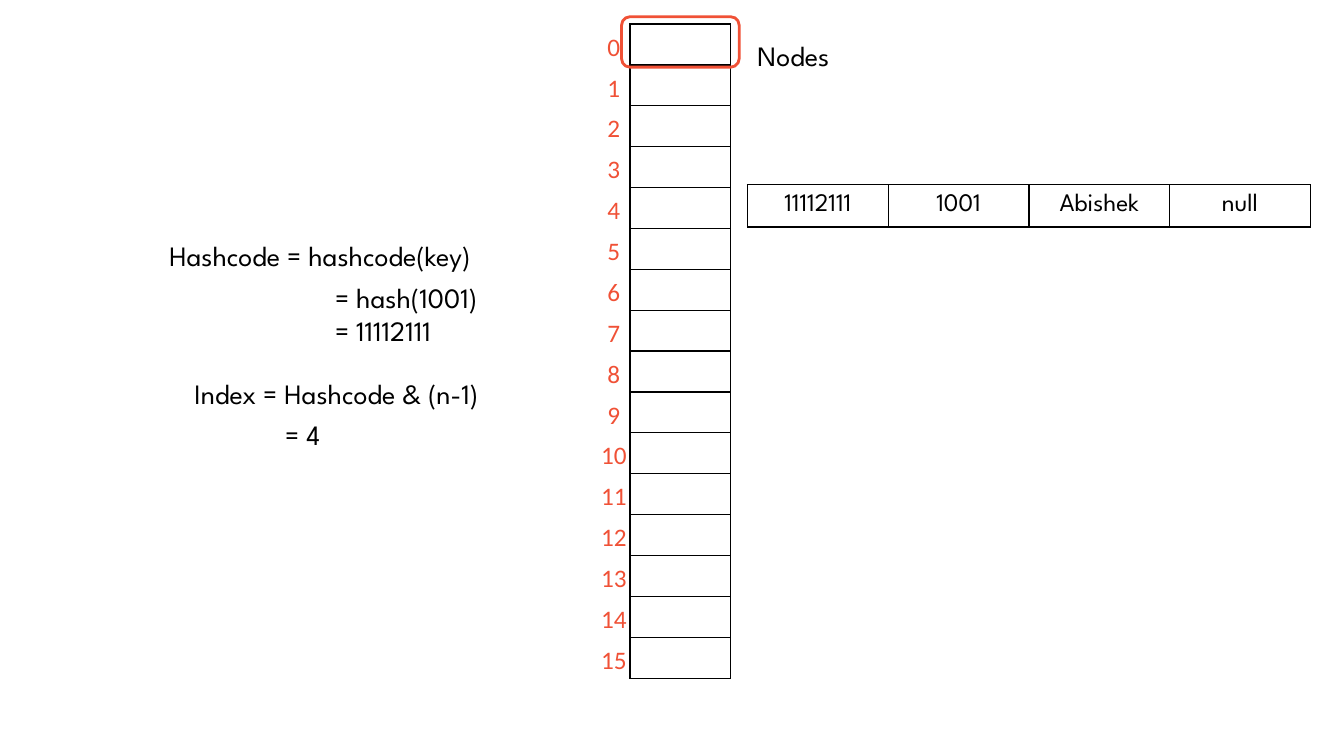
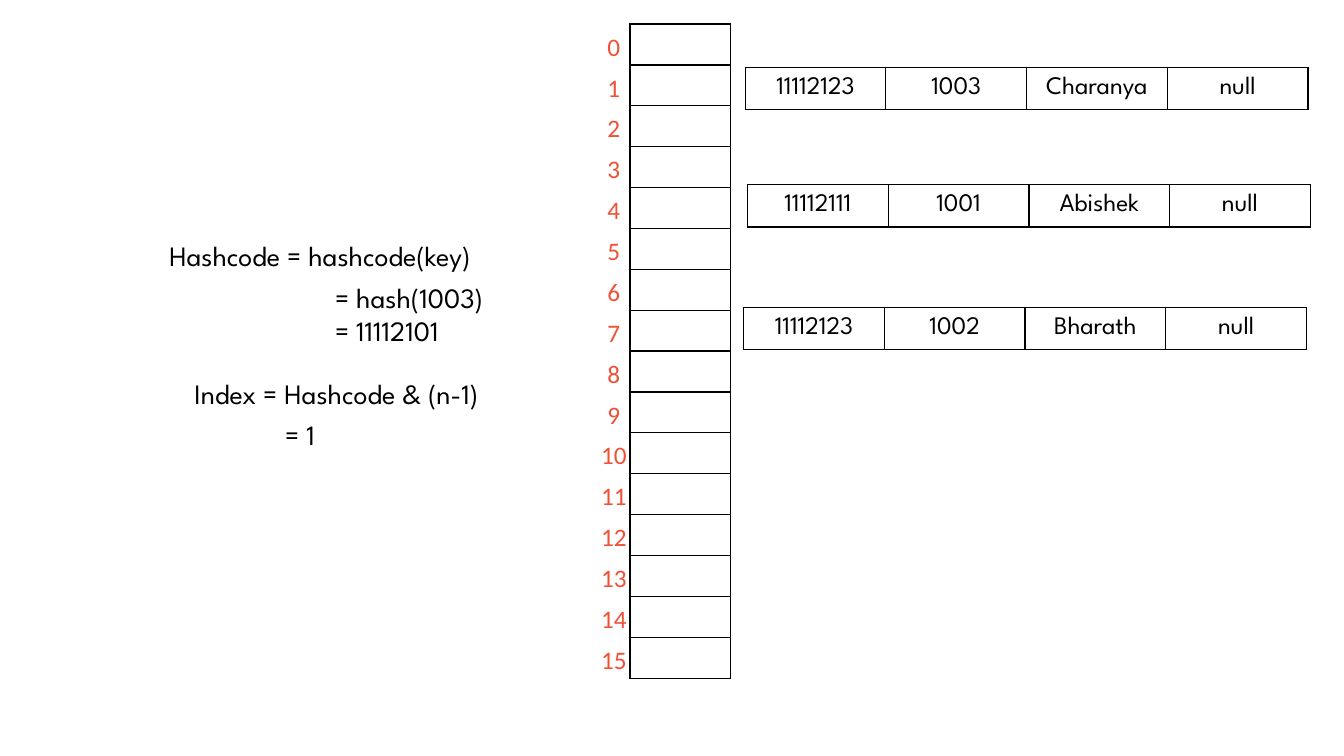
from lxml import etree
from pptx import Presentation
from pptx.dml.color import RGBColor
from pptx.enum import shapes, text
from pptx.oxml import ns
from pptx.util import Pt

# Shared look
INK, ACCENT = "000000", "F05136"
BODY = {"name": "League Spartan", "size": Pt(20), "color": INK}
NODE = {**BODY, "size": Pt(18)}
INDEX = {"name": "Calibri", "size": Pt(18), "color": ACCENT}

# Shared measures in points
BUCKETS, BUCKET_HEIGHT = 16, 29.2
NODE_WIDTH, NODE_HEIGHT = 100.5, 30.2

# Nodes: left, top and the values hash, key, value, next
ABISHEK = (534, 132, ["11112111", "1001", "Abishek", "null"])
BHARATH = (531.2, 219.6, ["11112123", "1002", "Bharath", "null"])
CHARANYA = (532.3, 48.2, ["11112123", "1003", "Charanya", "null"])


def colour(code):
    return RGBColor.from_string(code)


def write(para, words, style):
    span = para.add_run()
    span.text = words
    for name, value in style.items():
        if name == "color":
            span.font.color.rgb = colour(value)
        else:
            setattr(span.font, name, value)


def set_borders(cell, line):
    """Give the four sides of a cell a line colour, or none at all."""
    properties = cell._tc.get_or_add_tcPr()
    for place, side in enumerate(("lnL", "lnR", "lnT", "lnB")):
        border = etree.Element(ns.qn(f"a:{side}"), w=str(Pt(1)))
        if line:
            fill = etree.SubElement(border, ns.qn("a:solidFill"))
            etree.SubElement(fill, ns.qn("a:srgbClr"), val=line)
        else:
            etree.SubElement(border, ns.qn("a:noFill"))
        properties.insert(place, border)


def add_grid(page, left, top, rows, width, height, style=NODE, line=INK):
    """Draw a table of equal, unfilled cells from rows of text."""
    columns = len(rows[0])
    table = page.shapes.add_table(
        len(rows), columns, Pt(left), Pt(top),
        Pt(width * columns), Pt(height * len(rows))).table
    table.first_row = table.horz_banding = False
    for column in table.columns:
        column.width = Pt(width)
    for row, values in zip(table.rows, rows):
        row.height = Pt(height)
        for cell, words in zip(row.cells, values):
            cell.fill.background()
            set_borders(cell, line)
            cell.vertical_anchor = text.MSO_ANCHOR.MIDDLE
            if words:
                para = cell.text_frame.paragraphs[0]
                para.alignment = text.PP_ALIGN.CENTER
                write(para, words, style)


def add_text(page, left, top, width, lines, indent=0):
    height = 7.2 + 24 * len(lines)
    box = page.shapes.add_textbox(Pt(left), Pt(top), Pt(width), Pt(height))
    frame = box.text_frame
    frame.word_wrap = True
    frame.auto_size = text.MSO_AUTO_SIZE.SHAPE_TO_FIT_TEXT
    for number, words in enumerate(lines):
        para = frame.add_paragraph() if number else frame.paragraphs[0]
        if indent:
            para._p.get_or_add_pPr().set("marL", str(Pt(indent)))
        write(para, words, BODY)


def add_highlight(page, left, top, width, height):
    frame = page.shapes.add_shape(
        shapes.MSO_SHAPE.ROUNDED_RECTANGLE,
        Pt(left), Pt(top), Pt(width), Pt(height))
    frame.shadow.inherit = False
    frame.fill.background()
    frame.line.color.rgb = colour(ACCENT)
    frame.line.width = Pt(2)


def add_hash_page(deck, key, hashcode, index, nodes):
    """Show the bucket array, the hash steps and the stored nodes."""
    page = deck.slides.add_slide(deck.slide_layouts[6])

    # Bucket array with its indexes
    add_grid(page, 450, 17.2, [[""]] * BUCKETS, 72, BUCKET_HEIGHT)
    numbers = [[str(number)] for number in range(BUCKETS)]
    add_grid(page, 417.6, 19.4, numbers, 41.8, BUCKET_HEIGHT, INDEX, None)

    # Hash and index steps
    add_text(page, 113.8, 167, 257.8, ["Hashcode = hashcode(key)"])
    add_text(page, 154, 196.5, 236.2,
             [f"= hash({key})", f"= {hashcode}"], indent=78.2)
    add_text(page, 131.8, 265.7, 250.6, ["Index = Hashcode & (n-1)"])
    add_text(page, 196.6, 294.5, 172, [f"= {index}"])

    # Stored nodes
    for left, top, values in nodes:
        add_grid(page, left, top, [values], NODE_WIDTH, NODE_HEIGHT)
    return page


def main():
    deck = Presentation()
    deck.slide_width, deck.slide_height = Pt(960), Pt(540)

    # First node, with the array cell marked
    page = add_hash_page(deck, "1001", "11112111", 4, [ABISHEK])
    add_highlight(page, 444, 12, 84, 36)
    add_text(page, 534, 23.8, 144, ["Nodes"])

    # Three nodes
    add_hash_page(deck, "1003", "11112101", 1, [ABISHEK, BHARATH, CHARANYA])

    deck.save("out.pptx")


if __name__ == "__main__":
    main()
